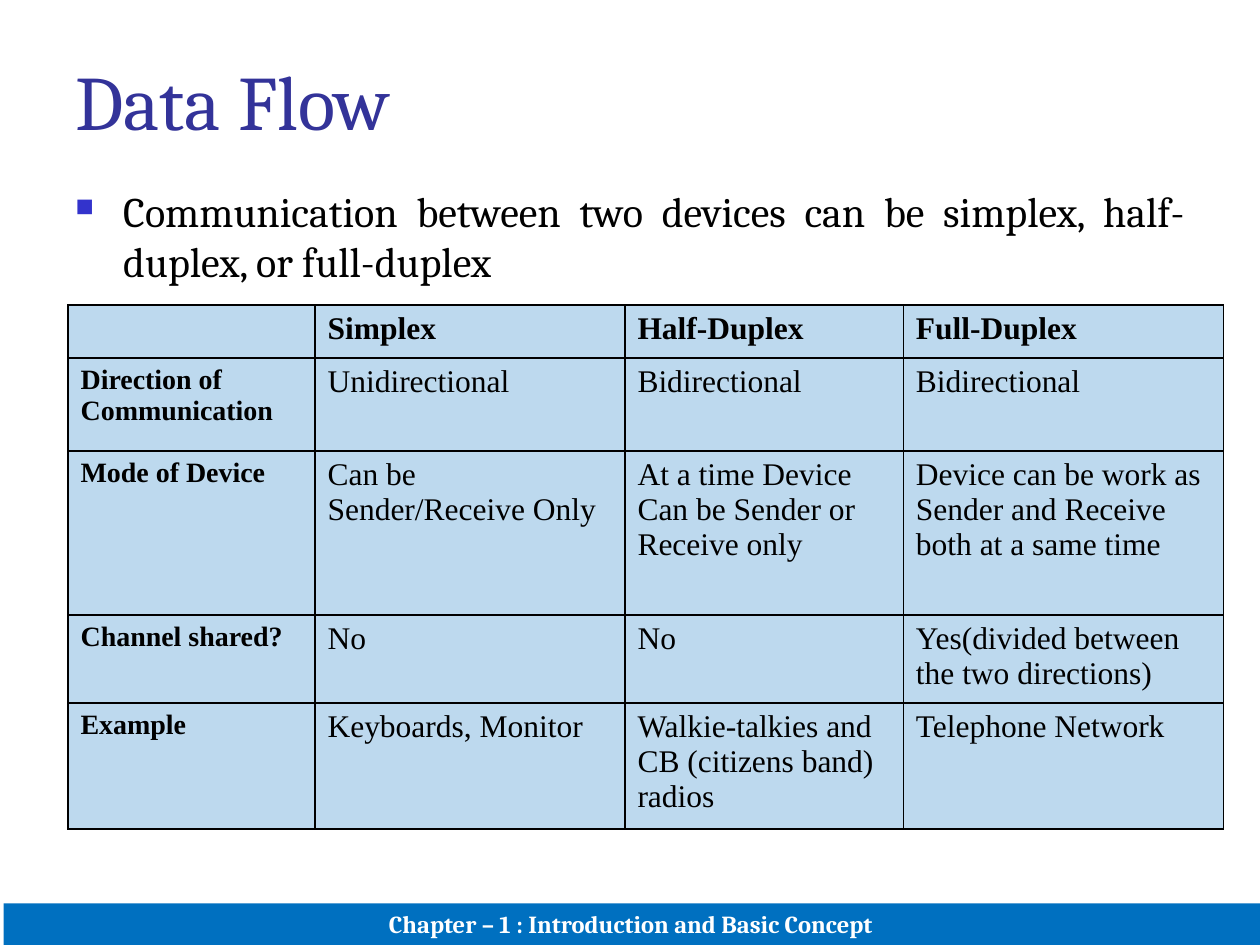
from lxml import etree
from pptx import Presentation
from pptx.dml.color import RGBColor
from pptx.enum.shapes import MSO_SHAPE
from pptx.enum.text import MSO_ANCHOR, PP_ALIGN
from pptx.oxml import parse_xml
from pptx.oxml.ns import nsdecls, qn
from pptx.util import Inches, Pt

RECT = MSO_SHAPE.RECTANGLE
MIDDLE, BOTTOM = MSO_ANCHOR.MIDDLE, MSO_ANCHOR.BOTTOM
LEFT, CENTER, JUSTIFY = PP_ALIGN.LEFT, PP_ALIGN.CENTER, PP_ALIGN.JUSTIFY

COLORS = {"title": "333399", "text": "000000", "bullet": "3333CC",
          "blue": "0070C0", "white": "FFFFFF", "border": "000000"}
SERIF, TABLE_FONT = "Cambria", "Times New Roman"


def add_run(p, text, size, color, font=SERIF, bold=False):
    r = p.add_run()
    r.text = text
    r.font.name = font
    r.font.size = Pt(size)
    r.font.bold = bold
    r.font.color.rgb = RGBColor.from_string(COLORS[color])


def style_cell(cell):
    """Tint the cell with translucent blue and draw its four borders."""
    cell.fill.solid()
    cell.fill.fore_color.rgb = RGBColor.from_string(COLORS["blue"])
    tc_pr = cell._tc.get_or_add_tcPr()
    tint = tc_pr.find(qn("a:solidFill")).find(qn("a:srgbClr"))
    etree.SubElement(tint, qn("a:alpha"), val="26000")
    for i, side in enumerate(("lnL", "lnR", "lnT", "lnB")):
        tc_pr.insert(i, parse_xml(
            f'<a:{side} {nsdecls("a")} w="{Pt(1)}"><a:solidFill>'
            f'<a:srgbClr val="{COLORS["border"]}"/></a:solidFill></a:{side}>'))


prs = Presentation()
prs.slide_width, prs.slide_height = Inches(10), Inches(7.5)
s = prs.slides.add_slide(prs.slide_layouts[5])

# Footer bar
sp = s.shapes.add_shape(RECT, Inches(0.03), Inches(7.17), Inches(10), Inches(0.33))
sp.shadow.inherit = False
sp.fill.solid()
sp.fill.fore_color.rgb = RGBColor.from_string(COLORS["blue"])
sp.line.fill.background()
tf = sp.text_frame
tf.vertical_anchor = BOTTOM
p = tf.paragraphs[0]
p.alignment = CENTER
add_run(p, "Chapter – 1 : Introduction and Basic Concept ", 14, "white", bold=True)

# Title
title = s.shapes.title
title.left, title.top = Inches(0.5), Inches(0.3)
title.width, title.height = Inches(9), Inches(0.98)
tf = title.text_frame
tf.vertical_anchor = MIDDLE
p = tf.paragraphs[0]
p.alignment = LEFT
add_run(p, "Data Flow", 44, "title")

# Bullet
sp = s.shapes.add_textbox(Inches(0.5), Inches(1.42), Inches(9), Inches(5.28))
tf = sp.text_frame
tf.word_wrap = True
p = tf.paragraphs[0]
p.alignment = JUSTIFY
p_pr = p._p.get_or_add_pPr()
p_pr.set("marL", str(Inches(0.38)))
p_pr.set("indent", str(-Inches(0.38)))
bullet_color = etree.SubElement(p_pr, qn("a:buClr"))
etree.SubElement(bullet_color, qn("a:srgbClr"), val=COLORS["bullet"])
etree.SubElement(p_pr, qn("a:buSzPct"), val="60000")
etree.SubElement(p_pr, qn("a:buChar"), char="■")
add_run(p, "Communication between two devices can be simplex, half-duplex, "
           "or full-duplex ", 24, "text")

# Comparison table
ROWS = [
    ("", "Simplex", "Half-Duplex", "Full-Duplex"),
    ("Direction of Communication", "Unidirectional", "Bidirectional", "Bidirectional"),
    ("Mode of Device", "Can be Sender/Receive Only",
     "At a time Device Can be Sender or Receive only",
     "Device can be work as Sender and Receive both at a same time"),
    ("Channel shared?", "No", "No", "Yes(divided between the two directions)"),
    ("Example", "Keyboards, Monitor",
     "Walkie-talkies and CB (citizens band) radios", "Telephone Network"),
]
COL_WIDTHS = (1.96, 2.46, 2.21, 2.54)
ROW_HEIGHTS = (0.42, 0.74, 1.3, 0.7, 1)

table = s.shapes.add_table(len(ROWS), len(COL_WIDTHS), Inches(0.54), Inches(2.42),
                           Inches(sum(COL_WIDTHS)), Inches(sum(ROW_HEIGHTS))).table
table.first_row = table.horz_banding = False
for col, width in zip(table.columns, COL_WIDTHS):
    col.width = Inches(width)
for i, (height, texts) in enumerate(zip(ROW_HEIGHTS, ROWS)):
    table.rows[i].height = Inches(height)
    for j, text in enumerate(texts):
        cell = table.cell(i, j)
        style_cell(cell)
        if text:
            add_run(cell.text_frame.paragraphs[0], text, 16 if j == 0 else 18,
                    "text", TABLE_FONT, bold=i == 0 or j == 0)

prs.save("out.pptx")
